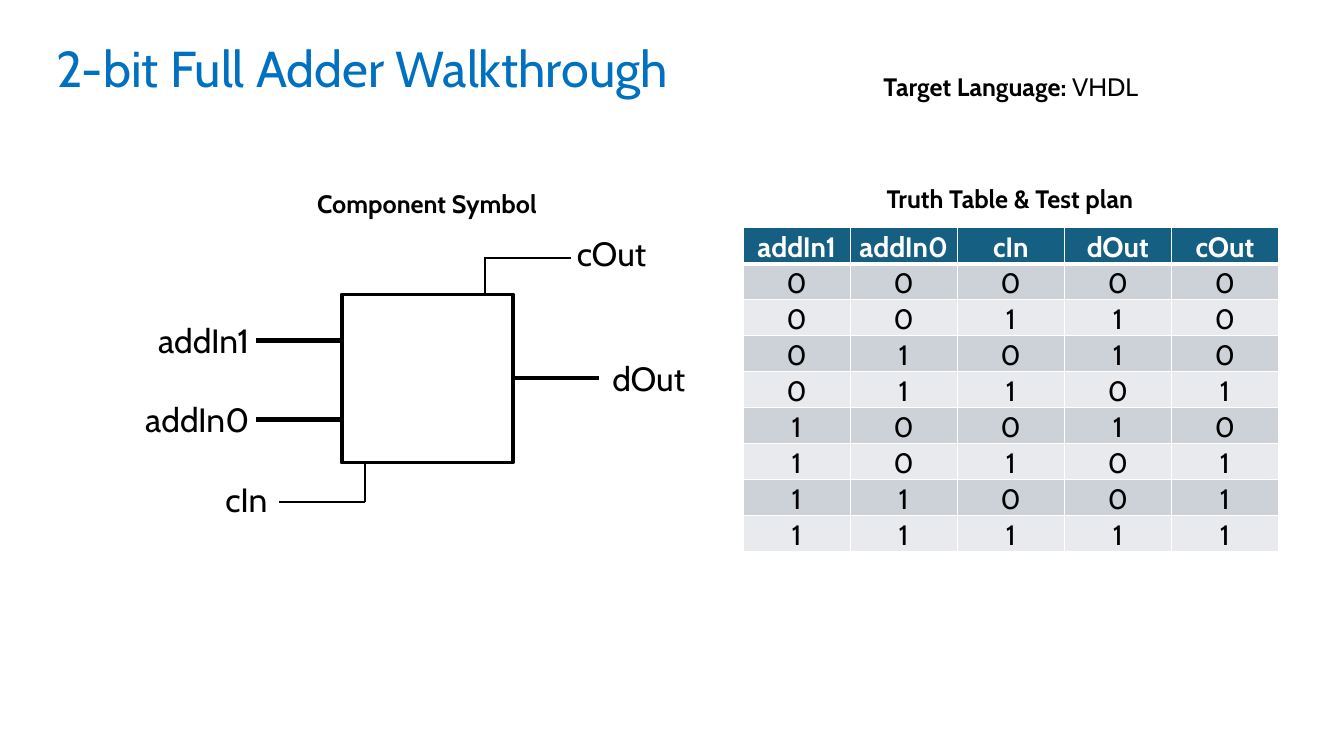
"""Build the full adder slide with its symbol and truth table."""
import dataclasses
import itertools

import lxml.etree
import pptx
import pptx.dml.color
import pptx.enum.shapes
import pptx.enum.text
import pptx.oxml.ns
import pptx.util

Inches = pptx.util.Inches
Pt = pptx.util.Pt
Align = pptx.enum.text.PP_ALIGN
Fit = pptx.enum.text.MSO_AUTO_SIZE
qn = pptx.oxml.ns.qn

FONT = "Cabin"
BLACK = "000000"
WHITE = "FFFFFF"
BLUE = "0070C0"
TEAL = "156082"
BANDS = ("CCD2D8", "E8EAED")
HEADS = ("addIn1", "addIn0", "cIn", "dOut", "cOut")


@dataclasses.dataclass
class Label:
    text: str
    left: float
    top: float
    width: float = 1.93
    height: float = 0.5
    size: float = 24
    color: str = BLACK
    bold: bool = False
    align: Align = Align.CENTER
    fit: Fit = Fit.SHAPE_TO_FIT_TEXT
    lines: float = 1.0
    tail: str = ""


@dataclasses.dataclass
class Wire:
    x1: float
    y1: float
    x2: float
    y2: float
    weight: float = 1.5


LABELS = (
    Label("2-bit Full Adder Walkthrough", 0.46, 0.39, 11.5, 1.45, 36, BLUE,
          align=Align.LEFT, fit=Fit.NONE, lines=0.9),
    Label("Target Language: ", 7.36, 0.66, 5.33, 0.4, 18, bold=True, tail="VHDL"),
    Label("Component Symbol", 1.57, 1.82, 5.33, 0.4, 18, bold=True),
    Label("Truth Table & Test plan", 8.37, 1.77, 3.29, 0.4, 18, bold=True),
    Label("addIn1", 0.64, 3.12, align=Align.RIGHT),
    Label("addIn0", 0.64, 3.91, align=Align.RIGHT),
    Label("dOut", 5.47, 3.5),
    Label("cOut", 5.1, 2.26),
    Label("cIn", 1.48, 4.7),
)

WIRES = (
    Wire(3.39, 3.38, 2.54, 3.38, 3.5),
    Wire(3.39, 4.16, 2.54, 4.16, 3.5),
    Wire(5.94, 3.75, 5.09, 3.75, 3.5),
    Wire(4.81, 2.55, 4.81, 2.93),
    Wire(4.81, 2.56, 5.66, 2.56),
    Wire(3.62, 4.6, 3.62, 4.98),
    Wire(2.77, 4.98, 3.62, 4.98),
)


def tint(code: str) -> pptx.dml.color.RGBColor:
    return pptx.dml.color.RGBColor.from_string(code)


def style(run, size: float, color: str, bold: bool) -> None:
    run.font.name = FONT
    run.font.size = Pt(size)
    run.font.bold = bold
    run.font.color.rgb = tint(color)


def draw_label(slide, label: Label) -> None:
    box = slide.shapes.add_textbox(Inches(label.left), Inches(label.top),
                                   Inches(label.width), Inches(label.height))
    frame = box.text_frame
    frame.word_wrap = True
    frame.auto_size = label.fit
    frame.text = label.text
    para = frame.paragraphs[0]
    para.alignment = label.align
    para.line_spacing = label.lines
    style(para.runs[0], label.size, label.color, label.bold)
    if label.tail:
        run = para.add_run()
        run.text = label.tail
        style(run, label.size, label.color, False)


def draw_wire(slide, wire: Wire) -> None:
    line = slide.shapes.add_connector(
        pptx.enum.shapes.MSO_CONNECTOR.STRAIGHT,
        Inches(wire.x1), Inches(wire.y1), Inches(wire.x2), Inches(wire.y2))
    line.line.color.rgb = tint(BLACK)
    line.line.width = Pt(wire.weight)
    lxml.etree.SubElement(line._element.spPr, qn("a:effectLst"))


def draw_block(slide) -> None:
    block = slide.shapes.add_shape(pptx.enum.shapes.MSO_SHAPE.RECTANGLE,
                                   Inches(3.39), Inches(2.92), Inches(1.7), Inches(1.67))
    block.shadow.inherit = False
    block.fill.background()
    block.line.color.rgb = tint(BLACK)
    block.line.width = Pt(2.5)


def edge(cell, side: str, weight: float) -> None:
    props = cell._tc.get_or_add_tcPr()
    line = lxml.etree.SubElement(props, qn(f"a:{side}"), w=str(Pt(weight)))
    fill = lxml.etree.SubElement(line, qn("a:solidFill"))
    lxml.etree.SubElement(fill, qn("a:srgbClr"), val=WHITE)


def draw_cell(cell, text: str, row: int) -> None:
    head = row == 0
    for side in ("lnL", "lnR", "lnT", "lnB"):
        thick = (head and side == "lnB") or (row == 1 and side == "lnT")
        edge(cell, side, 3 if thick else 1)
    cell.fill.solid()
    cell.fill.fore_color.rgb = tint(TEAL if head else BANDS[(row - 1) % 2])
    cell.margin_left = cell.margin_right = Inches(0.07)
    cell.margin_top = cell.margin_bottom = 0
    cell.text_frame.text = text
    para = cell.text_frame.paragraphs[0]
    para.alignment = Align.CENTER
    para.line_spacing = 1.07
    para.space_after = Pt(8)
    style(para.runs[0], 20, WHITE if head else BLACK, head)


def draw_table(slide) -> None:
    rows = [HEADS]
    for bits in itertools.product((0, 1), repeat=3):
        total = sum(bits)
        rows.append((*map(str, bits), str(total % 2), str(total // 2)))
    table = slide.shapes.add_table(len(rows), len(HEADS), Inches(7.37), Inches(2.26),
                                   Inches(5.31), Inches(3.1)).table
    for row, texts in enumerate(rows):
        for col, text in enumerate(texts):
            draw_cell(table.cell(row, col), text, row)


def main() -> None:
    deck = pptx.Presentation()
    deck.slide_width = Inches(13.33)
    deck.slide_height = Inches(7.5)
    slide = deck.slides.add_slide(deck.slide_layouts[6])
    for wire in WIRES:
        draw_wire(slide, wire)
    draw_block(slide)
    for label in LABELS:
        draw_label(slide, label)
    draw_table(slide)
    deck.save("out.pptx")


if __name__ == "__main__":
    main()
